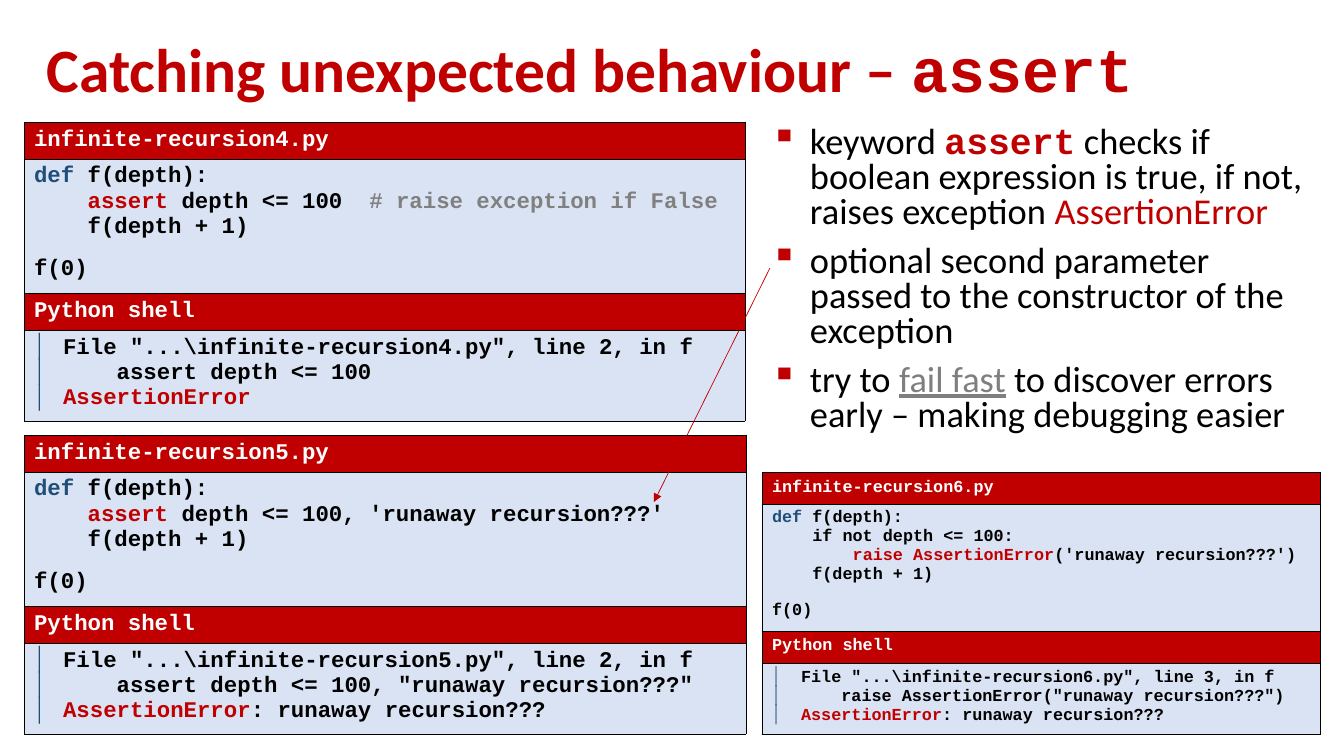
from lxml.etree import SubElement
from pptx import Presentation
from pptx.dml.color import RGBColor
from pptx.enum.shapes import MSO_CONNECTOR as Connector
from pptx.enum.text import MSO_ANCHOR as Anchor
from pptx.oxml.ns import qn
from pptx.util import Emu, Pt

EMU_PER_PX = 914400 / 100.8
RED, BLUE, GRAY = "C00000", "1F4E79", "808080"
BLACK, WHITE, PANEL = "000000", "FFFFFF", "DAE3F3"
SANS, MONO = "Calibri", "Courier New"

DEF_LINE = [("def ", BLUE), ("f(depth):", BLACK)]
CALL_LINES = [[("    f(depth + 1)", BLACK)], [("f(0)", BLACK)]]
RUNAWAY_ERROR = [("AssertionError", RED), (": runaway recursion???", BLACK)]


def px(length):
    return Emu(round(length * EMU_PER_PX))


def color(hex_string):
    return RGBColor.from_string(hex_string)


def add_text(paragraph, text, *, size, font=SANS, fill=BLACK, bold=False, underline=False):
    run = paragraph.add_run()
    run.text = text
    run.font.size = Pt(size)
    run.font.name = font
    run.font.color.rgb = color(fill)
    run.font.bold = bold
    run.font.underline = underline


def add_bullet(paragraph, character, fill, indent, percent=100):
    properties = paragraph._p.get_or_add_pPr()
    properties.set("marL", str(px(indent)))
    properties.set("indent", str(-px(indent)))
    bullet_color = SubElement(properties, qn("a:buClr"))
    SubElement(bullet_color, qn("a:srgbClr"), val=fill)
    SubElement(properties, qn("a:buSzPct"), val=str(percent * 1000))
    SubElement(properties, qn("a:buChar"), char=character)


def paragraphs_for(frame, lines):
    """Pair each line with its paragraph, adding paragraphs after the first."""
    for index, line in enumerate(lines):
        yield (frame.add_paragraph() if index else frame.paragraphs[0]), line


def style_cell(cell, fill):
    """Give the cell thin black borders and a solid fill."""
    properties = cell._tc.get_or_add_tcPr()
    for side in ("lnL", "lnR", "lnT", "lnB"):
        border = SubElement(properties, qn(f"a:{side}"), w=str(Pt(0.5)))
        solid = SubElement(border, qn("a:solidFill"))
        SubElement(solid, qn("a:srgbClr"), val=BLACK)
    cell.fill.solid()
    cell.fill.fore_color.rgb = color(fill)


def add_code_table(slide, box, row_heights, size, file_name, code, output):
    """Add a listing: file name, code, shell heading and shell output."""
    table = slide.shapes.add_table(4, 1, *map(px, box)).table
    table.first_row = table.horz_banding = False
    sections = [[[(file_name, WHITE)]], code, [[("Python shell", WHITE)]], output]
    for index, (height, lines) in enumerate(zip(row_heights, sections)):
        table.rows[index].height = px(height)
        cell = table.cell(index, 0)
        style_cell(cell, PANEL if index % 2 else RED)
        for paragraph, line in paragraphs_for(cell.text_frame, lines):
            for text, fill in line:
                add_text(paragraph, text, size=size, font=MONO, fill=fill, bold=True)
            if lines is output:
                add_bullet(paragraph, "|", BLUE, 29, percent=120)
        if lines is code:
            cell.text_frame.paragraphs[-2].space_after = Pt(12)
    table.cell(0, 0).vertical_anchor = Anchor.MIDDLE


def add_text_box(slide, box, anchor):
    frame = slide.shapes.add_textbox(*map(px, box)).text_frame
    frame.word_wrap = True
    frame.vertical_anchor = anchor
    return frame


def add_title(slide):
    paragraph = add_text_box(slide, (37, 0, 1159, 146), Anchor.MIDDLE).paragraphs[0]
    paragraph.line_spacing = 0.9
    for text, font in (("Catching unexpected behaviour – ", SANS), ("assert", MONO)):
        add_text(paragraph, text, size=44, font=font, fill=RED, bold=True)


def add_points(slide, points):
    frame = add_text_box(slide, (761, 122, 558, 350), Anchor.TOP)
    for paragraph, runs in paragraphs_for(frame, points):
        paragraph.line_spacing = 0.8
        paragraph.space_before = Pt(10)
        for text, style in runs:
            add_text(paragraph, text, size=26, **style)
        add_bullet(paragraph, "▪", RED, 39)


def add_arrow(slide, start, end):
    arrow = slide.shapes.add_connector(Connector.STRAIGHT, *map(px, start + end))
    arrow.line.color.rgb = color(RED)
    arrow.line.width = Pt(0.5)
    SubElement(arrow.line._get_or_add_ln(), qn("a:tailEnd"), type="triangle")
    SubElement(arrow._element.spPr, qn("a:effectLst"))


def main():
    presentation = Presentation()
    presentation.slide_width, presentation.slide_height = px(1344), px(756)
    slide = presentation.slides.add_slide(presentation.slide_layouts[6])

    add_title(slide)
    large_rows = (35, 129, 35, 86)
    add_code_table(
        slide, (24, 122, 721, 285), large_rows, 16, "infinite-recursion4.py",
        [DEF_LINE,
         [("    ", BLACK), ("assert", RED), (" depth <= 100  ", BLACK),
          ("# raise exception if False", GRAY)],
         *CALL_LINES],
        [[('File "...\\infinite-recursion4.py", line 2, in f', BLACK)],
         [("    assert depth <= 100", BLACK)],
         [("AssertionError", RED)]])
    add_code_table(
        slide, (24, 435, 722, 285), large_rows, 16, "infinite-recursion5.py",
        [DEF_LINE,
         [("    ", BLACK), ("assert", RED),
          (" depth <= 100, 'runaway recursion???'", BLACK)],
         *CALL_LINES],
        [[('File "...\\infinite-recursion5.py", line 2, in f', BLACK)],
         [('    assert depth <= 100, "runaway recursion???"', BLACK)],
         RUNAWAY_ERROR])
    add_arrow(slide, (770, 268), (654, 502))
    add_code_table(
        slide, (762, 472, 558, 253), (32, 122, 32, 67), 12, "infinite-recursion6.py",
        [DEF_LINE,
         [("    if not depth <= 100:", BLACK)],
         [("        ", BLACK), ("raise AssertionError", RED),
          ("('runaway recursion???')", BLACK)],
         *CALL_LINES],
        [[('File "...\\infinite-recursion6.py", line 3, in f', BLACK)],
         [('    raise AssertionError("runaway recursion???")', BLACK)],
         RUNAWAY_ERROR])
    add_points(slide, [
        [("keyword ", {}),
         ("assert", {"font": MONO, "fill": RED, "bold": True}),
         (" checks if boolean expression is true, if not, raises exception ", {}),
         ("AssertionError", {"fill": RED})],
        [("optional second parameter passed to the constructor of the exception", {})],
        [("try to ", {}),
         ("fail fast", {"fill": "7F7F7F", "underline": True}),
         (" to discover errors early – making debugging easier", {})],
    ])
    presentation.save("out.pptx")


if __name__ == "__main__":
    main()
